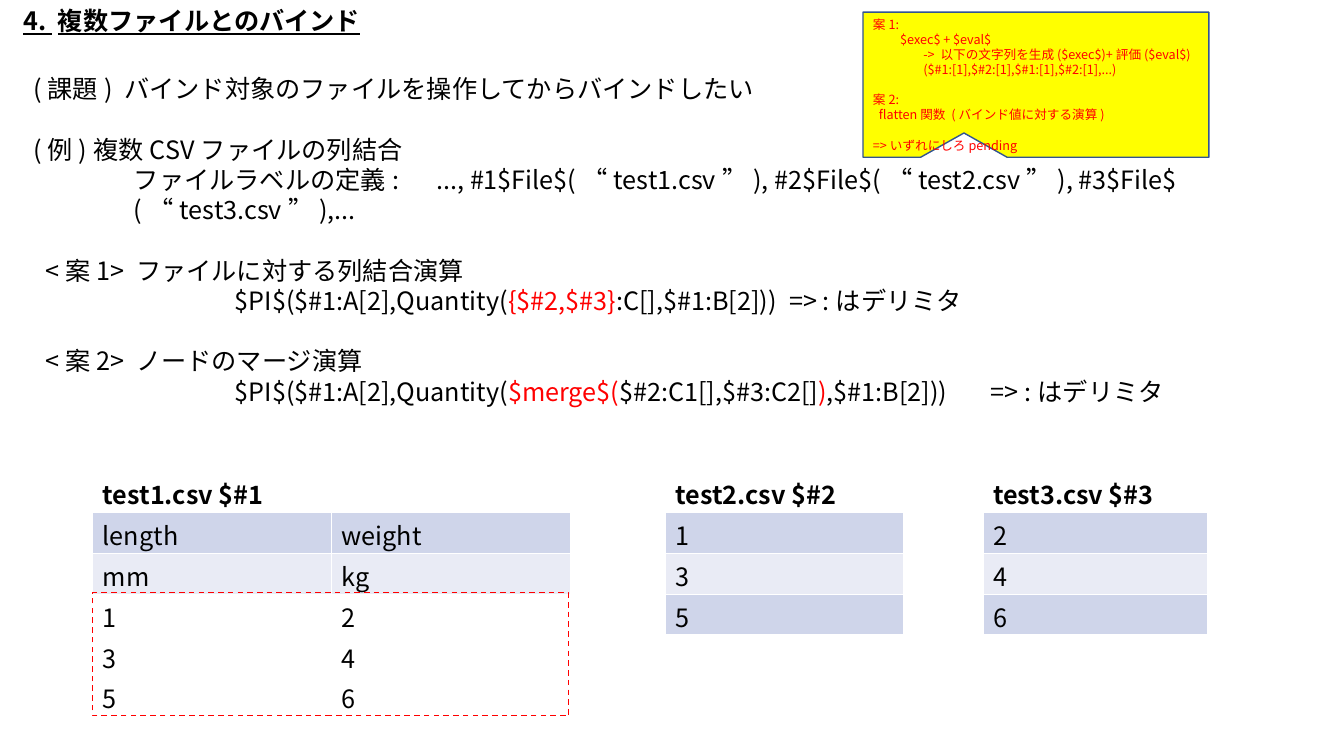
from dataclasses import dataclass

import lxml.etree
import pptx
import pptx.dml.color
import pptx.enum.dml
import pptx.enum.shapes
import pptx.enum.text
import pptx.oxml.ns
import pptx.util

Inches = pptx.util.Inches
Pt = pptx.util.Pt
RGB = pptx.dml.color.RGBColor.from_string


@dataclass(frozen=True)
class Theme:
    font: str = "Noto Sans CJK JP"
    text: str = "000000"
    accent: str = "FF0000"
    callout: str = "FFFF00"
    callout_line: str = "325491"
    bands: tuple[str, str] = ("CFD5EA", "E9EBF5")
    body_size: float = 18
    note_size: float = 9
    pitch: float = 1.2
    line_width: float = 1


@dataclass(frozen=True)
class Span:
    text: str
    accent: bool = False


@dataclass(frozen=True)
class Line:
    spans: tuple[Span, ...]
    indent: float = 0
    gap: bool = False


@dataclass(frozen=True)
class CsvFile:
    title: str
    rows: tuple[tuple[str, ...], ...]
    column: int
    banded_rows: int


THEME = Theme()


def line(*texts: str, indent: float = 0, gap: bool = False) -> Line:
    spans = tuple(Span(t, i % 2 == 1) for i, t in enumerate(texts))
    return Line(spans, indent, gap)


BODY = (
    line("(課題) バインド対象のファイルを操作してからバインドしたい"),
    line("(例)複数CSVファイルの列結合", gap=True),
    line("ファイルラベルの定義:\t..., #1$File$(“test1.csv”), "
         "#2$File$(“test2.csv”), #3$File$(“test3.csv”),...", indent=1),
    line("<案1> ファイルに対する列結合演算", indent=0.12, gap=True),
    line("$PI$($#1:A[2],Quantity(", "{$#2,$#3}",
         ":C[],$#1:B[2]))\t=> :はデリミタ", indent=2),
    line("<案2> ノードのマージ演算", indent=0.12, gap=True),
    line("$PI$($#1:A[2],Quantity(", "$merge$(", "$#2:C1[],$#3:C2[]", ")",
         ",$#1:B[2]))\t=> :はデリミタ", indent=2),
)

NOTE = (
    line("案1:"),
    line("$exec$ + $eval$", indent=0.27),
    line("-> 以下の文字列を生成($exec$)+評価($eval$)", indent=0.5),
    line("($#1:[1],$#2:[1],$#1:[1],$#2:[1],...)", indent=0.5),
    line("案2:", gap=True),
    line("flatten関数 (バインド値に対する演算)", indent=0.06),
    line("=>いずれにしろpending", gap=True),
)

FILES = (
    CsvFile("test1.csv $#1", (("length", "weight"), ("mm", "kg"),
                              ("1", "2"), ("3", "4"), ("5", "6")), 0, 2),
    CsvFile("test2.csv $#2", (("1",), ("3",), ("5",)), 3, 3),
    CsvFile("test3.csv $#3", (("2",), ("4",), ("6",)), 5, 3),
)

COLUMNS = (2.37, 2.37, 0.94, 2.36, 0.79, 2.23)
ROWS = 6
TABLE_LEFT, TABLE_TOP, TABLE_HEIGHT = 0.92, 4.68, 2.43


def format_run(r, size: float, color: str, bold: bool = False) -> None:
    r.font.name = THEME.font
    r.font.size = Pt(size)
    r.font.bold = bold
    r.font.color.rgb = RGB(color)
    ea = lxml.etree.SubElement(r._r.get_or_add_rPr(), pptx.oxml.ns.qn("a:ea"))
    ea.set("typeface", THEME.font)


def format_paragraph(p, size: float) -> None:
    p.alignment = pptx.enum.text.PP_ALIGN.LEFT
    p.line_spacing = Pt(size * THEME.pitch)
    p.space_before = p.space_after = Pt(0)


def write_lines(tf, lines: tuple[Line, ...], size: float, color: str) -> None:
    tf.word_wrap = True
    for i, item in enumerate(lines):
        p = tf.add_paragraph() if i else tf.paragraphs[0]
        format_paragraph(p, size)
        if item.gap:
            p.space_before = Pt(size * THEME.pitch)
        pPr = p._p.get_or_add_pPr()
        pPr.set("marL", str(Inches(item.indent)))
        pPr.set("indent", "0")
        for span in item.spans:
            r = p.add_run()
            r.text = span.text
            format_run(r, size, THEME.accent if span.accent else color)


def add_title(s, text: str) -> None:
    sp = s.shapes.title
    sp.left, sp.top = Inches(0.13), Inches(0)
    sp.width, sp.height = Inches(13.11), Inches(0.4)
    tf = sp.text_frame
    tf.text = text
    tf.word_wrap = True
    tf.auto_size = pptx.enum.text.MSO_AUTO_SIZE.NONE
    tf.vertical_anchor = pptx.enum.text.MSO_ANCHOR.TOP
    p = tf.paragraphs[0]
    format_paragraph(p, THEME.body_size)
    format_run(p.runs[0], THEME.body_size, THEME.text, bold=True)
    p.runs[0].font.underline = True


def add_body(s) -> None:
    sp = s.shapes.add_textbox(Inches(0.23), Inches(0.38), Inches(13.11), Inches(3.43))
    sp.text_frame.margin_top = Inches(0.35)
    write_lines(sp.text_frame, BODY, THEME.body_size, THEME.text)


def write_cell(cell, text: str, bold: bool = False) -> None:
    cell.text_frame.text = text
    p = cell.text_frame.paragraphs[0]
    format_paragraph(p, THEME.body_size)
    format_run(p.runs[0], THEME.body_size, THEME.text, bold)


def add_files_table(s) -> None:
    frame = s.shapes.add_table(ROWS, len(COLUMNS), Inches(TABLE_LEFT), Inches(TABLE_TOP),
                               Inches(sum(COLUMNS)), Inches(TABLE_HEIGHT))
    table = frame.table
    for column, width in zip(table.columns, COLUMNS):
        column.width = Inches(width)
    for row in table.rows:
        row.height = Inches(TABLE_HEIGHT / ROWS)
    for cell in table.iter_cells():
        cell.fill.background()
        cell.margin_top = Inches(0.1)
        cell.margin_bottom = Inches(0)
    for file in FILES:
        write_cell(table.cell(0, file.column), file.title, bold=True)
        for i, values in enumerate(file.rows):
            for j, value in enumerate(values):
                cell = table.cell(i + 1, file.column + j)
                write_cell(cell, value)
                if i < file.banded_rows:
                    cell.fill.solid()
                    cell.fill.fore_color.rgb = RGB(THEME.bands[i % 2])
    for row in (4, 5):
        table.cell(row, 1).merge(table.cell(row, 2))


def add_outlined(s, kind, left: float, top: float, width: float, height: float, color: str):
    sp = s.shapes.add_shape(kind, Inches(left), Inches(top), Inches(width), Inches(height))
    sp.shadow.inherit = False
    sp.line.color.rgb = RGB(color)
    sp.line.width = Pt(THEME.line_width)
    return sp


def add_data_frame(s) -> None:
    sp = add_outlined(s, pptx.enum.shapes.MSO_SHAPE.RECTANGLE,
                      TABLE_LEFT, 5.88, 4.72, 1.22, THEME.accent)
    sp.fill.background()
    sp.line.dash_style = pptx.enum.dml.MSO_LINE.DASH


def add_note(s) -> None:
    sp = add_outlined(s, pptx.enum.shapes.MSO_SHAPE.RECTANGULAR_CALLOUT,
                      8.56, 0.12, 3.43, 1.44, THEME.callout_line)
    sp.adjustments[0], sp.adjustments[1] = -0.208, 0.333
    sp.fill.solid()
    sp.fill.fore_color.rgb = RGB(THEME.callout)
    sp.text_frame.vertical_anchor = pptx.enum.text.MSO_ANCHOR.MIDDLE
    write_lines(sp.text_frame, NOTE, THEME.note_size, THEME.accent)


prs = pptx.Presentation()
prs.slide_width, prs.slide_height = Inches(13.33), Inches(7.5)
s = prs.slides.add_slide(prs.slide_layouts.get_by_name("Title Only"))
add_title(s, "4. 複数ファイルとのバインド")
add_body(s)
add_files_table(s)
add_data_frame(s)
add_note(s)
prs.save("out.pptx")
